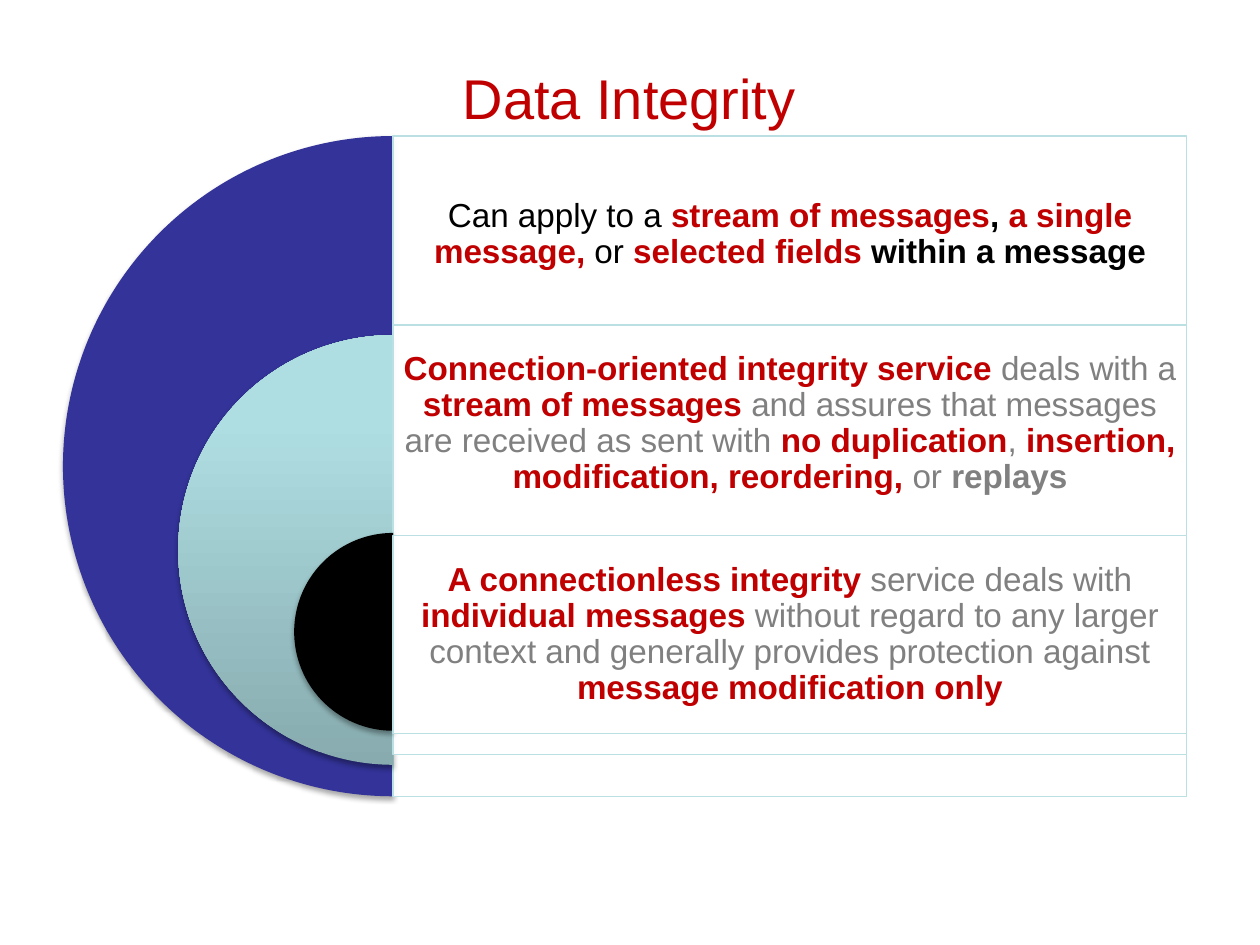
from copy import deepcopy

from lxml import etree
from pptx import Presentation
from pptx.dml.color import RGBColor
from pptx.enum.shapes import MSO_SHAPE
from pptx.enum.text import MSO_ANCHOR, PP_ALIGN
from pptx.oxml.ns import qn
from pptx.util import Inches, Pt

PIE, RECT = MSO_SHAPE.PIE, MSO_SHAPE.RECTANGLE
MIDDLE, CENTER = MSO_ANCHOR.MIDDLE, PP_ALIGN.CENTER

RED = RGBColor(0xC0, 0x00, 0x00)
BLACK = RGBColor(0x00, 0x00, 0x00)
GRAY = RGBColor(0x80, 0x80, 0x80)
WHITE = RGBColor(0xFF, 0xFF, 0xFF)
BLUE = RGBColor(0x33, 0x33, 0x99)
PALE_TEAL = RGBColor(0xBB, 0xE0, 0xE3)
TEAL_STOPS = [
    (0, RGBColor(0x87, 0xAB, 0xAE)),
    (0.8, RGBColor(0xAF, 0xDE, 0xE2)),
    (1, RGBColor(0xAF, 0xE0, 0xE4)),
]

AXIS = 3.12  # flat edge of the half discs and left edge of the panels
PANEL_W = 6.3
TEXT_H = 1.57

# Runs are (text, colour, bold)
STREAM_OR_FIELDS = [
    ("Can apply to a ", BLACK, False),
    ("stream of messages", RED, True),
    (", ", BLACK, True),
    ("a single message,", RED, True),
    (" or ", BLACK, False),
    ("selected fields ", RED, True),
    ("within a message", BLACK, True),
]
CONNECTION_ORIENTED = [
    ("Connection-oriented integrity service ", RED, True),
    ("deals with a ", GRAY, False),
    ("stream of messages ", RED, True),
    ("and assures that messages are received as sent with ", GRAY, False),
    ("no duplication", RED, True),
    (", ", GRAY, False),
    ("insertion, modification, reordering,", RED, True),
    (" or ", GRAY, False),
    ("replays", GRAY, True),
]
CONNECTIONLESS = [
    ("A connectionless integrity ", RED, True),
    ("service deals with ", GRAY, False),
    ("individual messages ", RED, True),
    ("without regard to any larger context and generally provides "
     "protection against ", GRAY, False),
    ("message modification only", RED, True),
]

# Disc top, diameter, fill; panel top, height; text
LAYERS = [
    (1.08, 5.24, BLUE, 1.08, 5.24, STREAM_OR_FIELDS),
    (2.66, 3.41, TEAL_STOPS, 2.58, 3.41, CONNECTION_ORIENTED),
    (4.23, 1.57, BLACK, 4.25, 1.57, CONNECTIONLESS),
]


def add_text(slide, x, y, w, h, runs, *, size, inset=0.08, line_spacing=1.0):
    box = slide.shapes.add_textbox(Inches(x), Inches(y), Inches(w), Inches(h))
    tf = box.text_frame
    tf.word_wrap = True
    tf.vertical_anchor = MIDDLE
    tf.margin_left = tf.margin_right = Inches(inset)
    tf.margin_top = tf.margin_bottom = Inches(inset)
    p = tf.paragraphs[0]
    p.alignment = CENTER
    p.line_spacing = line_spacing
    for text, color, bold in runs:
        r = p.add_run()
        r.text = text
        r.font.name = "Arial"
        r.font.size = Pt(size)
        r.font.bold = bold
        r.font.color.rgb = color


def add_alpha(color, percent):
    etree.SubElement(color, qn("a:alpha"), val=str(percent * 1000))


def add_shadow(sp):
    effects = sp._element.spPr.find(qn("a:effectLst"))
    shadow = etree.SubElement(
        effects, qn("a:outerShdw"), blurRad=str(Pt(3.1)), dist=str(Pt(1.8)),
        dir="5400000", rotWithShape="0")
    add_alpha(etree.SubElement(shadow, qn("a:srgbClr"), val=str(BLACK)), 35)


def fill_gradient(sp, stops):
    sp.fill.gradient()
    sp.fill.gradient_angle = 90
    stop_list = sp._element.spPr.find(".//" + qn("a:gsLst"))
    while len(stop_list) < len(stops):
        stop_list.append(deepcopy(stop_list[-1]))
    for stop, (position, color) in zip(sp.fill.gradient_stops, stops):
        stop.position = position
        stop.color.rgb = color


def add_half_disc(slide, y, diameter, fill):
    sp = slide.shapes.add_shape(
        PIE, Inches(AXIS - diameter / 2), Inches(y),
        Inches(diameter), Inches(diameter))
    # 90 to 270 degrees, in units of 100000 sixty-thousandths of a degree
    sp.adjustments[0], sp.adjustments[1] = 54, 162
    sp.shadow.inherit = False
    sp.line.fill.background()
    if isinstance(fill, list):
        fill_gradient(sp, fill)
    else:
        sp.fill.solid()
        sp.fill.fore_color.rgb = fill
    add_shadow(sp)


def add_panel(slide, y, h):
    sp = slide.shapes.add_shape(
        RECT, Inches(AXIS), Inches(y), Inches(PANEL_W), Inches(h))
    sp.shadow.inherit = False
    sp.fill.solid()
    sp.fill.fore_color.rgb = WHITE
    add_alpha(sp._element.spPr.find(qn("a:solidFill"))[0], 90)
    sp.line.color.rgb = PALE_TEAL
    sp.line.width = Pt(0.75)


def main():
    prs = Presentation()
    prs.slide_width, prs.slide_height = Inches(10), Inches(7.5)
    slide = prs.slides.add_slide(prs.slide_layouts[6])

    # Title
    add_text(slide, 0.85, 0.07, 8.29, 1.4,
             [("Data Integrity", RED, False)], size=32)

    # Nested half discs with their panels
    for disc_y, diameter, fill, panel_y, panel_h, runs in LAYERS:
        add_half_disc(slide, disc_y, diameter, fill)
        add_panel(slide, panel_y, panel_h)
        add_text(slide, AXIS, panel_y, PANEL_W, TEXT_H, runs,
                 size=19, line_spacing=0.9)

    prs.save("out.pptx")


if __name__ == "__main__":
    main()
